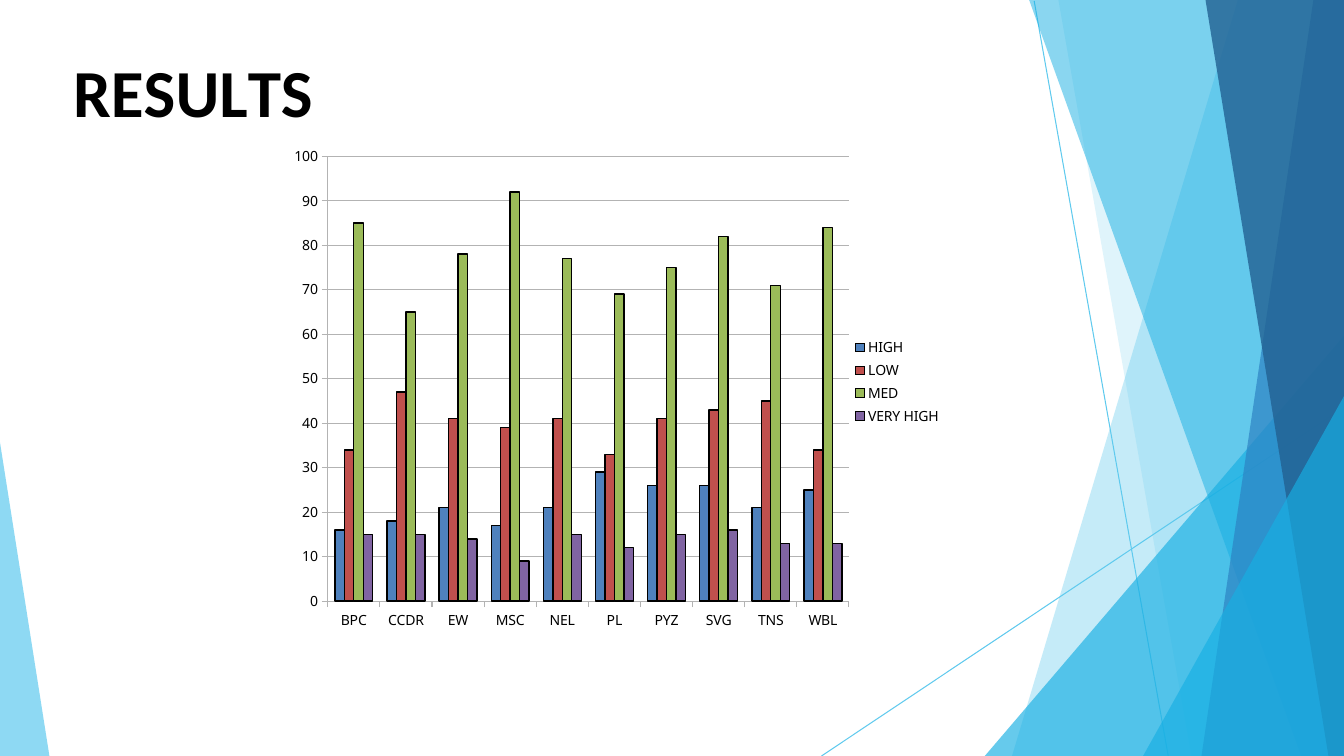
from dataclasses import dataclass
from typing import Any

from lxml import etree
from pptx import Presentation
from pptx import util as u
from pptx.chart import data as cd
from pptx.dml import color as col
from pptx.enum import chart as ce, shapes as sh, text as tx
from pptx.oxml import parse_xml
from pptx.oxml.ns import nsdecls, qn

Point = tuple[float, float]
WIDE, HIGH = 960, 540


@dataclass(frozen=True)
class Theme:
    sky: str = "5FCAEE"
    cyan: str = "17AFE3"
    blue: str = "2D83C3"
    navy: str = "226192"
    ink: str = "000000"
    paper: str = "FFFFFF"
    grid: str = "B3B3B3"
    head: str = "Calibri"
    body: str = "Noto Sans"
    big: float = 48
    small: float = 10


@dataclass(frozen=True)
class Facet:
    points: tuple[Point, ...]
    color: str
    alpha: int


@dataclass(frozen=True)
class Ray:
    start: Point
    end: Point


@dataclass(frozen=True)
class Level:
    name: str
    color: str
    values: tuple[int, ...]


@dataclass(frozen=True)
class Part:
    text: str
    space: float


T = Theme()


def right(top: float, left: float, foot: float, color: str, alpha: int) -> Facet:
    """Facet against the right edge, from x=top at the top to x=foot at the bottom."""
    peak = ((WIDE, 0), (left, 0)) if not top else ((WIDE, top),)
    return Facet((*peak, (foot, HIGH), (WIDE, HIGH)), color, alpha)


RAYS = [Ray((738.72, 0.72), (834.48, HIGH)), Ray((WIDE, 290.88), (586.8, HIGH))]
FACETS = [
    right(0, 884.16, 722.88, T.sky, 36),
    right(0, 756, 851.04, T.sky, 20),
    right(239.76, WIDE, 703.44, T.cyan, 66),
    right(0, 735.12, 929.52, T.cyan, 50),
    right(0, 938.16, 858.24, T.blue, 70),
    right(0, 861.12, 948.96, T.navy, 80),
    right(282.96, WIDE, 816.48, T.cyan, 66),
    Facet(((0, 316.08), (0, HIGH), (35.28, HIGH)), T.sky, 70),
]
TITLE = [Part("R", 0), Part("E", -0.4), Part("S", 0.1),
         Part("U", -0.3), Part("L", -4), Part("TS", 0)]
CATS = ["BPC", "CCDR", "EW", "MSC", "NEL", "PL", "PYZ", "SVG", "TNS", "WBL"]
LEVELS = [
    Level("HIGH", "4F81BD", (16, 18, 21, 17, 21, 29, 26, 26, 21, 25)),
    Level("LOW", "C0504D", (34, 47, 41, 39, 41, 33, 41, 43, 45, 34)),
    Level("MED", "9BBB59", (85, 65, 78, 92, 77, 69, 75, 82, 71, 84)),
    Level("VERY HIGH", "8064A2", (15, 15, 14, 9, 15, 12, 15, 16, 13, 13)),
]
PLOT = {"x": 0.075, "y": 0.045, "w": 0.773, "h": 0.898}


def apply(item: Any, form: dict[str, Any]) -> None:
    for name, value in form.items():
        setattr(item, name, value)


def paint(fill: Any, color: str) -> None:
    fill.solid()
    fill.fore_color.rgb = col.RGBColor.from_string(color)


def stroke(line: Any, color: str, width: float) -> None:
    paint(line.fill, color)
    line.width = u.Pt(width)


def style(font: Any, name: str, size: float, bold: bool) -> None:
    apply(font, {"name": name, "size": u.Pt(size), "bold": bold})
    font.color.rgb = col.RGBColor.from_string(T.ink)


def draw_ray(slide: Any, ray: Ray) -> None:
    line = slide.shapes.add_connector(
        sh.MSO_CONNECTOR.STRAIGHT, *map(u.Pt, ray.start + ray.end))
    stroke(line.line, T.sky, 0.75)
    etree.SubElement(line._element.spPr, qn("a:effectLst"))


def draw_facet(slide: Any, facet: Facet) -> None:
    first, *rest = [(u.Pt(x), u.Pt(y)) for x, y in facet.points]
    build = slide.shapes.build_freeform(*first)
    build.add_line_segments(rest, close=True)
    shape = build.convert_to_shape()
    shape.shadow.inherit = False
    shape.line.fill.background()
    paint(shape.fill, facet.color)
    tint = shape._element.spPr.find(".//" + qn("a:srgbClr"))
    etree.SubElement(tint, qn("a:alpha"), val=str(facet.alpha * 1000))


def draw_title(slide: Any) -> None:
    frame = slide.shapes.add_textbox(*map(u.Pt, (48.24, 30.24, 203.76, 120.96))).text_frame
    apply(frame, {"word_wrap": True, "vertical_anchor": tx.MSO_ANCHOR.TOP,
                  "margin_left": u.Pt(4), "margin_top": u.Pt(6),
                  "margin_right": 0, "margin_bottom": 0})
    for part in TITLE:
        run = frame.paragraphs[0].add_run()
        run.text = part.text
        style(run.font, T.head, T.big, True)
        run._r.get_or_add_rPr().set("spc", str(round(part.space * 100)))


def back() -> Any:
    """Plain background without an outline, for the chart and its plot."""
    return parse_xml(
        f'<c:spPr {nsdecls("c", "a")}><a:solidFill><a:srgbClr val="{T.paper}"/>'
        '</a:solidFill><a:ln><a:noFill/></a:ln></c:spPr>')


def place_plot(chart: Any) -> None:
    """Fix the inner plot area and give both backgrounds their fill."""
    root = chart._chartSpace.find(qn("c:chart"))
    area = root.find(qn("c:plotArea"))
    for old in area.findall(qn("c:layout")):
        area.remove(old)
    lay = etree.Element(qn("c:layout"))
    hand = etree.SubElement(lay, qn("c:manualLayout"))
    rules = {"layoutTarget": "inner", "xMode": "edge", "yMode": "edge", **PLOT}
    for name, value in rules.items():
        etree.SubElement(hand, qn(f"c:{name}"), val=str(value))
    area.insert(0, lay)
    area.append(back())
    root.addnext(back())


def draw_chart(slide: Any) -> None:
    data = cd.CategoryChartData()
    data.categories = CATS
    for level in LEVELS:
        data.add_series(level.name, level.values)
    chart = slide.shapes.add_chart(
        ce.XL_CHART_TYPE.COLUMN_CLUSTERED,
        *map(u.Pt, (198, 95.76, 481.68, 354.24)), data).chart
    apply(chart, {"has_title": False, "has_legend": True})
    style(chart.font, T.body, T.small, False)
    apply(chart.legend, {"position": ce.XL_LEGEND_POSITION.RIGHT,
                         "include_in_layout": False})
    style(chart.legend.font, T.body, T.small, False)
    apply(chart.plots[0], {"gap_width": 150, "overlap": 0, "vary_by_categories": False})
    for bars, level in zip(chart.plots[0].series, LEVELS):
        bars.invert_if_negative = False
        paint(bars.format.fill, level.color)
        stroke(bars.format.line, T.ink, 1)
    for axis in (chart.category_axis, chart.value_axis):
        apply(axis, {"major_tick_mark": ce.XL_TICK_MARK.OUTSIDE,
                     "minor_tick_mark": ce.XL_TICK_MARK.NONE})
        style(axis.tick_labels.font, T.body, T.small, False)
        stroke(axis.format.line, T.grid, 0.75)
    apply(chart.value_axis, {"minimum_scale": 0, "maximum_scale": 100,
                             "major_unit": 10, "has_major_gridlines": True})
    stroke(chart.value_axis.major_gridlines.format.line, T.grid, 0.75)
    place_plot(chart)


def main() -> None:
    deck = Presentation()
    apply(deck, {"slide_width": u.Pt(WIDE), "slide_height": u.Pt(HIGH)})
    slide = deck.slides.add_slide(deck.slide_layouts[6])
    for ray in RAYS:
        draw_ray(slide, ray)
    for facet in FACETS:
        draw_facet(slide, facet)
    draw_title(slide)
    draw_chart(slide)
    deck.save("out.pptx")


if __name__ == "__main__":
    main()
